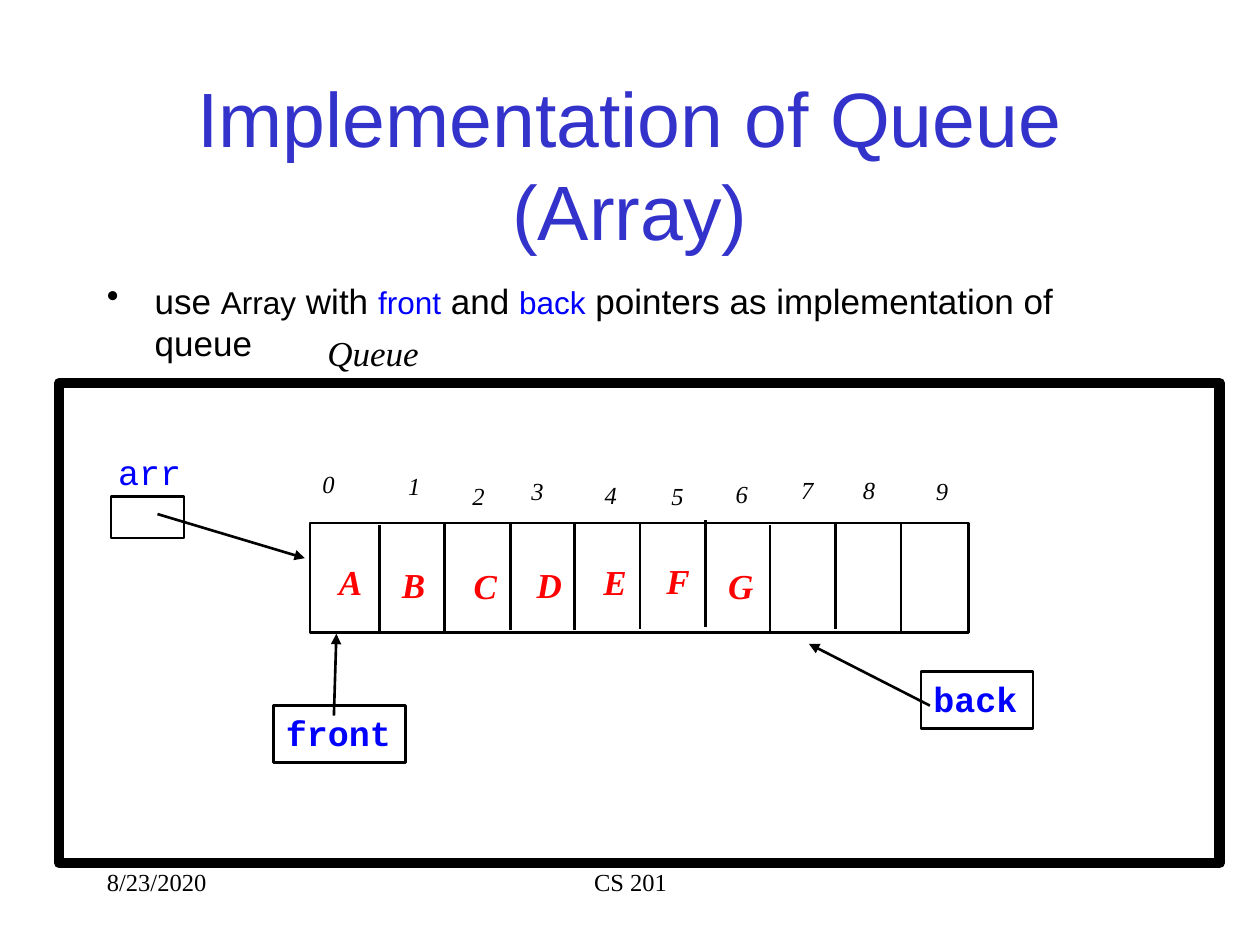
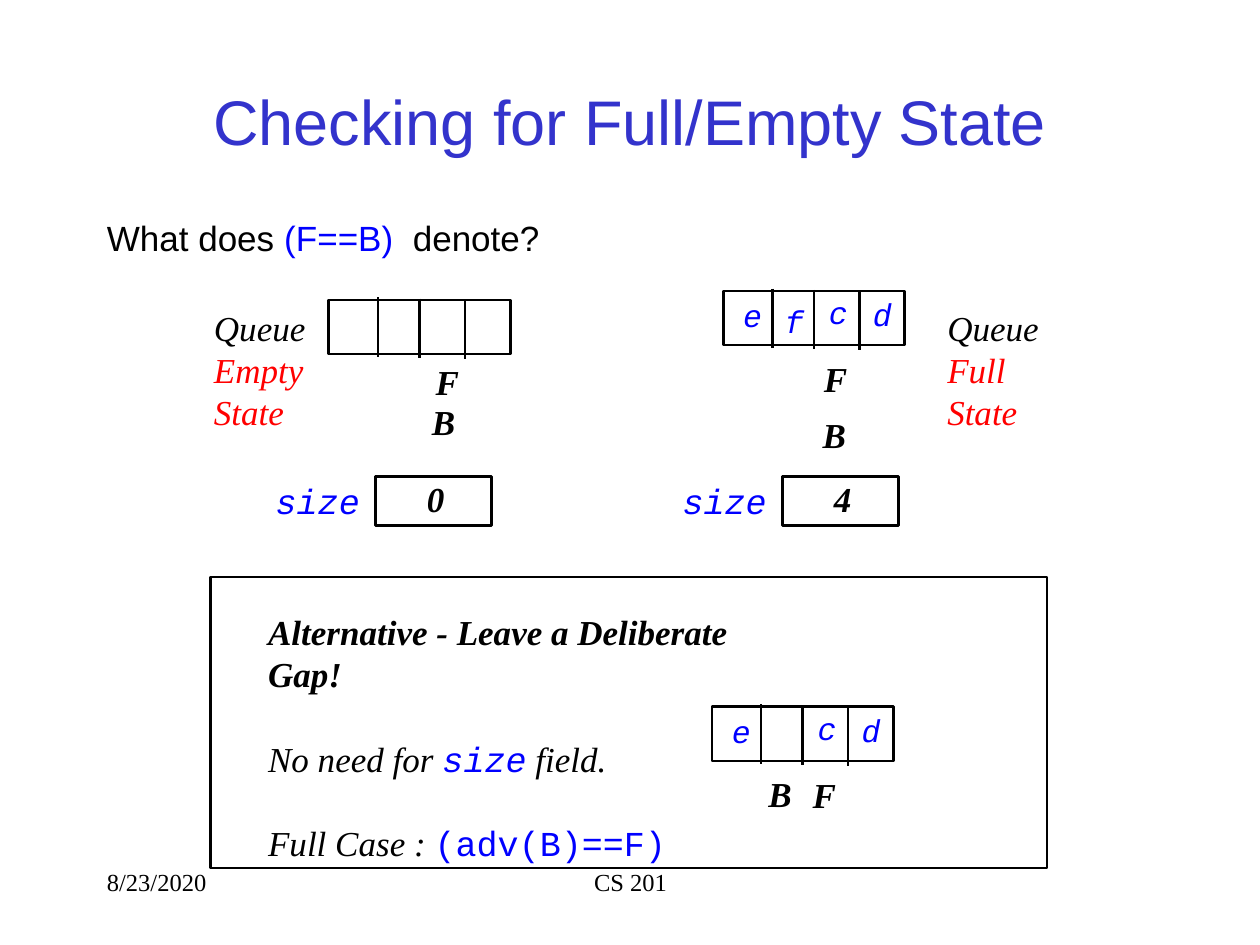
import dataclasses
import pptx
import pptx.util
import pptx.dml.color
import pptx.enum.shapes
import pptx.enum.text
import pptx.oxml.ns
from lxml import etree

SCALE = 9144
SHAPES = pptx.enum.shapes
TEXT = pptx.enum.text
QN = pptx.oxml.ns.qn


@dataclasses.dataclass(frozen=True)
class Theme:
    black: str = "000000"
    white: str = "FFFFFF"
    title: str = "3333CC"
    blue: str = "0000FF"
    red: str = "FF0000"
    sans: str = "Arial"
    serif: str = "Times New Roman"
    mono: str = "Courier New"
    head: int = 44
    subhead: int = 36
    main: int = 20
    code: int = 18
    small: int = 14
    thin: float = 1.5
    thick: float = 6


@dataclasses.dataclass(frozen=True)
class Run:
    text: str
    font: str
    size: int
    color: str
    bold: bool = False
    slant: bool = False


THEME = Theme()


def px(count):
    return pptx.util.Emu(count * SCALE)


def rgb(code):
    return pptx.dml.color.RGBColor.from_string(code)


def plain(text, color=THEME.black, size=THEME.main):
    return Run(text, THEME.sans, size, color)


def script(text, color=THEME.black, size=THEME.main, bold=False):
    return Run(text, THEME.serif, size, color, bold, True)


def mono(text, size=THEME.main, bold=False, slant=False):
    return Run(text, THEME.mono, size, THEME.blue, bold, slant)


class Deck:
    def __init__(self, theme):
        self.theme = theme
        self.deck = pptx.Presentation()
        self.deck.slide_width = px(1000)
        self.deck.slide_height = px(750)
        self.slide = None

    def page(self, title, top, size):
        self.slide = self.deck.slides.add_slide(self.deck.slide_layouts[6])
        fill = self.slide.background.fill
        fill.solid()
        fill.fore_color.rgb = rgb(self.theme.white)
        center = TEXT.PP_ALIGN.CENTER
        for text, x, wide, align in (("8/23/2020", 75, 208, None), ("CS 201", 342, 317, center)):
            run = Run(text, self.theme.serif, self.theme.small, self.theme.black)
            self.text(x, 683, wide, 50, [[run]], align=align)
        box = self.text(75, top, 850, 125, [[plain(title, self.theme.title, size)]], align=center)
        box.text_frame.vertical_anchor = TEXT.MSO_ANCHOR.MIDDLE

    def rows(self, frame, rows, align=None, gap=0):
        for index, row in enumerate(rows):
            para = frame.add_paragraph() if index else frame.paragraphs[0]
            para.alignment = align
            if index and gap:
                para.space_before = pptx.util.Pt(gap)
            for item in row:
                run = para.add_run()
                run.text = item.text
                font = run.font
                font.name = item.font
                font.size = pptx.util.Pt(item.size)
                font.bold = item.bold
                font.italic = item.slant
                font.color.rgb = rgb(item.color)

    def text(self, x, y, wide, high, rows, align=None, gap=0, wrap=True):
        box = self.slide.shapes.add_textbox(px(x), px(y), px(wide), px(high))
        box.text_frame.word_wrap = wrap
        self.rows(box.text_frame, rows, align, gap)
        return box

    def body(self, y, runs, bullet=False):
        box = self.text(75, y, 850, 450, [runs])
        props = box.text_frame.paragraphs[0]._p.get_or_add_pPr()
        props.set("marL", str(px(38)))
        props.set("indent", str(px(-38)))
        if bullet:
            etree.SubElement(props, QN("a:buChar")).set("char", "•")
        else:
            etree.SubElement(props, QN("a:buNone"))

    def label(self, x, y, wide, high, *runs):
        self.text(x, y, wide, high, [[run] for run in runs], wrap=False)

    def rect(self, x, y, wide, high, run=None, weight=THEME.thin):
        box = self.slide.shapes.add_shape(
            SHAPES.MSO_SHAPE.RECTANGLE, px(x), px(y), px(wide), px(high))
        box.shadow.inherit = False
        box.fill.background()
        box.line.color.rgb = rgb(self.theme.black)
        box.line.width = pptx.util.Pt(weight)
        if run:
            frame = box.text_frame
            frame.word_wrap = False
            frame.vertical_anchor = TEXT.MSO_ANCHOR.TOP
            self.rows(frame, [[run]], TEXT.PP_ALIGN.LEFT)

    def line(self, x, y, end_x, end_y, arrow=False):
        line = self.slide.shapes.add_connector(
            SHAPES.MSO_CONNECTOR.STRAIGHT, px(x), px(y), px(end_x), px(end_y))
        line.line.color.rgb = rgb(self.theme.black)
        line.line.width = pptx.util.Pt(self.theme.thin)
        props = line._element.spPr
        if arrow:
            stroke = props.find(QN("a:ln"))
            etree.SubElement(stroke, QN("a:tailEnd")).set("type", "triangle")
        etree.SubElement(props, QN("a:effectLst"))

    def strip(self, x, y, cells=""):
        self.rect(x, y, 144, 43)
        for step, shift in enumerate((39, 72, 108)):
            top = y - 2 + step
            self.line(x + shift, top, x + shift, top + 47)
        spots = ((6, -1), (39, 4), (74, -3), (109, -2))
        for cell, (across, down) in zip(cells, spots):
            if cell != " ":
                run = mono(cell, self.theme.code, slant=True)
                self.label(x + across, y + down, 35, 40, run)

    def mark(self, text, x, y, color=THEME.black):
        self.label(x, y, 39, 43, script(text, color, bold=True))

    def tally(self, x, value):
        self.rect(x + 89, 378, 92, 39)
        self.label(x, 376, 87, 43, mono("size", slant=True))
        self.label(x + 120, 374, 34, 43, script(value, bold=True))

    def state(self, x, name):
        red = self.theme.red
        self.label(x, 238, 93, 110, script("Queue"), script(name, red), script("State", red))


def build_array(deck):
    theme = deck.theme
    deck.page("Implementation of Queue (Array)", 67, theme.head)
    deck.body(217, [
        plain("use "), plain("Array", size=theme.code), plain(" with "),
        plain("front", theme.blue, theme.code), plain(" and "),
        plain("back", theme.blue, theme.code),
        plain(" pointers as implementation of queue")], bullet=True)
    deck.label(250, 258, 93, 43, script("Queue"))
    deck.rect(47, 304, 921, 381, weight=theme.thick)
    deck.label(84, 353, 70, 43, mono("arr"))
    deck.rect(88, 394, 58, 33)

    deck.rect(246, 415, 523, 87)
    for step, top in enumerate((417, 416, 415, 415, 414, 413, 417, 414, 416)):
        x = 301 + round(step * 51.75)
        deck.line(x, top, x, top + 85)
    spots = ((246, 367), (314, 369), (365, 377), (412, 373), (470, 376),
             (523, 377), (574, 375), (626, 372), (675, 372), (733, 373))
    for digit, (x, y) in enumerate(spots):
        deck.label(x, y, 30, 33, script(str(digit), size=theme.small))
    spots = ((259, 440), (309, 442), (366, 443), (416, 442), (469, 440), (519, 439), (568, 443))
    for letter, (x, y) in zip("ABCDEFG", spots):
        deck.mark(letter, x, y, theme.red)

    deck.rect(217, 560, 105, 45, mono("front", bold=True))
    deck.rect(731, 533, 89, 45, mono("back", bold=True))
    for ends in ((265, 568, 267, 503), (738, 560, 642, 511), (125, 408, 242, 443)):
        deck.line(*ends, arrow=True)


def build_state(deck):
    theme = deck.theme
    deck.page("Checking for Full/Empty State", 33, theme.subhead)
    deck.body(167, [plain("What does "), plain("(F==B)", theme.blue), plain("  denote?")])
    deck.strip(261, 238)
    deck.strip(574, 231, "efcd")
    deck.strip(565, 561, "e cd")
    for text, x, y in (("F", 336, 281), ("B", 333, 313), ("F", 644, 279),
                       ("B", 643, 323), ("B", 600, 608), ("F", 635, 609)):
        deck.mark(text, x, y)
    deck.state(160, "Empty")
    deck.state(742, "Full")
    deck.tally(209, "0")
    deck.tally(532, "4")
    deck.text(203, 480, 440, 177, [
        [script("Alternative - Leave a Deliberate Gap!", bold=True)],
        [script("No need for "), mono("size", slant=True), script(" field.")],
        [script("Full Case : "), mono("(adv(B)==F)")]], gap=24)
    deck.rect(167, 458, 664, 231)


def main():
    deck = Deck(THEME)
    build_array(deck)
    build_state(deck)
    deck.deck.save("out.pptx")


if __name__ == "__main__":
    main()
